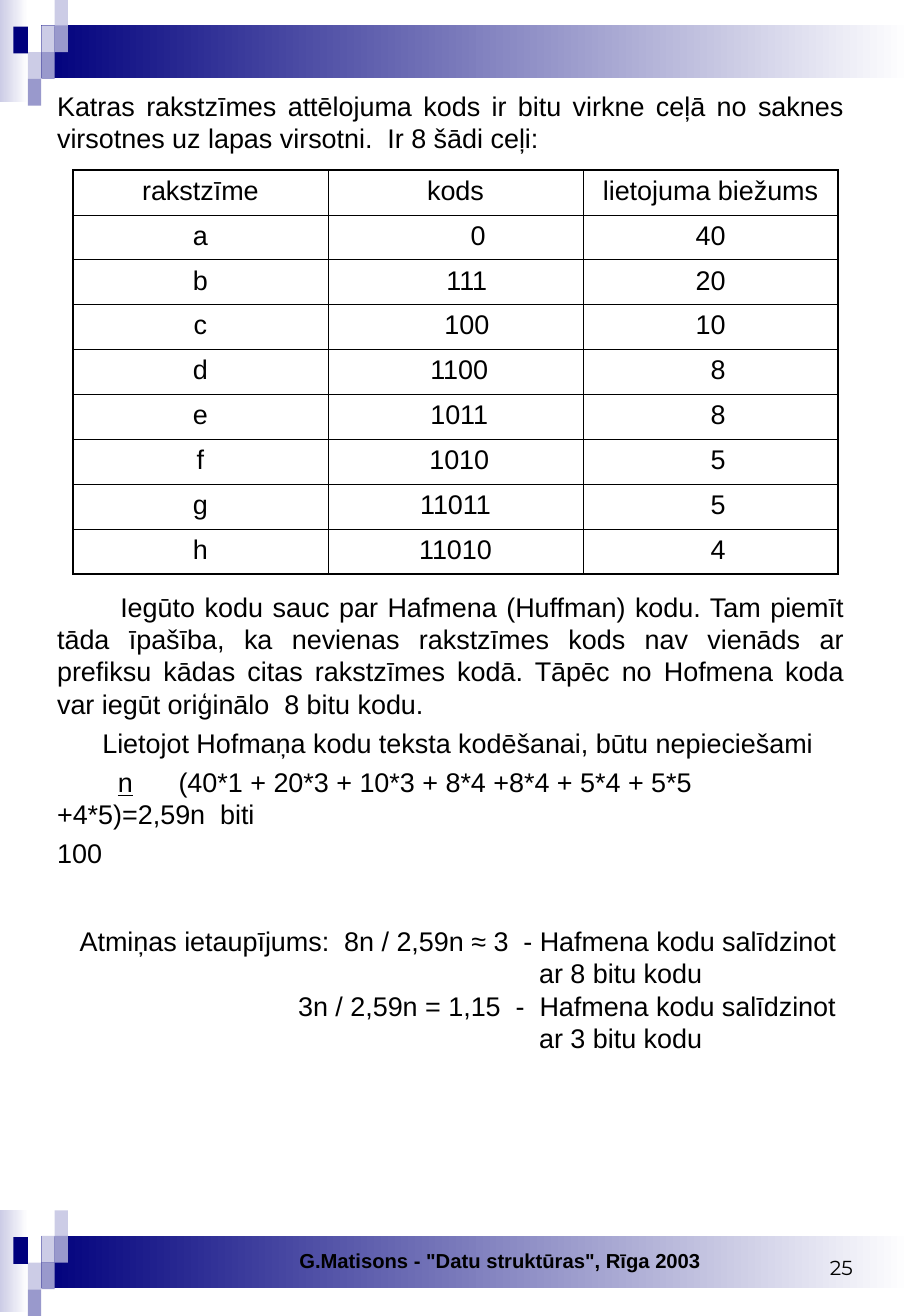
from lxml import etree
from pptx import Presentation
from pptx.dml.color import RGBColor
from pptx.enum.shapes import MSO_SHAPE
from pptx.enum.text import MSO_ANCHOR, MSO_AUTO_SIZE, PP_ALIGN
from pptx.oxml.ns import qn
from pptx.util import Inches, Pt

RECT = MSO_SHAPE.RECTANGLE
LEFT, CENTER, RIGHT, JUSTIFY = PP_ALIGN.LEFT, PP_ALIGN.CENTER, PP_ALIGN.RIGHT, PP_ALIGN.JUSTIFY
BOTTOM, TOP = MSO_ANCHOR.BOTTOM, MSO_ANCHOR.TOP
NAVY, LILAC, PALE, WHITE, BLACK = "00007D", "9999CC", "CCCCE6", "FFFFFF", "000000"
SPACE = 0.062  # width of one space at 16 pt


def rgb(value):
    return RGBColor.from_string(value)


def add_text(p, text, size=16, font="Arial", bold=False, underline=False, align=LEFT):
    p.alignment = align
    r = p.add_run()
    r.text = text
    r.font.size, r.font.name = Pt(size), font
    r.font.bold, r.font.underline = bold, underline
    r.font.color.rgb = rgb(BLACK)


prs = Presentation()
prs.slide_width, prs.slide_height = Inches(7.5), Inches(10.84)
s = prs.slides.add_slide(prs.slide_layouts[1])
title = s.shapes.title.element
title.getparent().remove(title)

# Header and footer bands with their mosaic squares
band_parts = [
    (0, 0, 0.23, 0.84, PALE, True),
    (0.34, 0.21, 7.16, 0.43, NAVY, True),
    (0.34, 0.21, 0.11, 0.22, PALE, False),
    (0.45, 0, 0.11, 0.22, PALE, False),
    (0.45, 0.21, 0.11, 0.22, LILAC, False),
    (0.23, 0.43, 0.11, 0.22, PALE, False),
    (0.11, 0.22, 0.12, 0.22, NAVY, False),
    (0.34, 0.43, 0.11, 0.22, LILAC, False),
    (0.23, 0.65, 0.11, 0.22, LILAC, False),
]
for band_top in (9.97, 0):
    for x, y, w, h, color, fades in band_parts:
        sp = s.shapes.add_shape(RECT, Inches(x), Inches(band_top + y), Inches(w), Inches(h))
        sp.shadow.inherit = False
        sp.line.fill.background()
        if fades:
            sp.fill.gradient()
            sp.fill.gradient_angle = 180
            for stop, shade in zip(sp.fill.gradient_stops, (WHITE, color)):
                stop.color.rgb = rgb(shade)
        else:
            sp.fill.solid()
            sp.fill.fore_color.rgb = rgb(color)

# Body: runs, alignment, space before (pt), left margin, first-line indent, tab stops
body = s.placeholders[1]
body.left, body.top, body.width, body.height = Inches(0.37), Inches(0.69), Inches(6.68), Inches(8.99)
tf = body.text_frame
tf.word_wrap, tf.auto_size, tf.vertical_anchor = True, MSO_AUTO_SIZE.NONE, TOP
body_paragraphs = [
    (["Katras rakstzīmes attēlojuma kods ir bitu virkne ceļā no saknes virsotnes uz lapas "
      "virsotni.  Ir 8 šādi ceļi:"], JUSTIFY, 0, 0, 0, []),
    (["Iegūto kodu sauc par Hafmena (Huffman) kodu. Tam piemīt tāda īpašība, ka nevienas "
      "rakstzīmes kods nav vienāds ar prefiksu kādas citas rakstzīmes kodā. Tāpēc no Hofmena "
      "koda var iegūt oriģinālo  8 bitu kodu."], JUSTIFY, 258.7, 0, 0.52, []),
    (["Lietojot Hofmaņa kodu teksta kodēšanai, būtu nepieciešami"], LEFT, 4, 0, 6 * SPACE, []),
    (["\tn\t", "(40*1 + 20*3 + 10*3 + 8*4 +8*4 + 5*4 + 5*5 +4*5)=2,59n  biti"],
     LEFT, 4, 0, 0, [0.12, 0.43]),
    (["100"], LEFT, 4, 0, 0, []),
    (["Atmiņas ietaupījums:  8n / 2,59n ≈ 3  - Hafmena kodu salīdzinot"],
     LEFT, 33.15, 3 * SPACE, 0, []),
    (["ar 8 bitu kodu"], LEFT, 0, 64 * SPACE, 0, []),
    (["3n / 2,59n = 1,15  -  Hafmena kodu salīdzinot"], LEFT, 0, 32 * SPACE, 0, []),
    (["ar 3 bitu kodu"], LEFT, 0, 64 * SPACE, 0, []),
]
for i, (texts, align, before, margin, indent, tabs) in enumerate(body_paragraphs):
    p = tf.paragraphs[0] if i == 0 else tf.add_paragraph()
    p.space_before, p.line_spacing = Pt(before), Pt(19.15)
    pPr = p._p.get_or_add_pPr()
    pPr.set("marL", str(Inches(margin)))
    pPr.set("indent", str(Inches(indent)))
    etree.SubElement(pPr, qn("a:buNone"))
    if tabs:
        tab_list = etree.SubElement(pPr, qn("a:tabLst"))
        for pos in tabs:
            etree.SubElement(tab_list, qn("a:tab"), pos=str(Inches(pos)), algn="l")
    for text in texts:
        add_text(p, text, underline="\t" in text, align=align)

# Code table; each cell's text is shifted by a number of spaces
code_rows = [
    [("rakstzīme", 0), ("kods", 0), ("lietojuma biežums", 0)],
    [("a", 0), ("0", 6), ("40", 0)],
    [("b", 0), ("111", 3), ("20", 0)],
    [("c", 0), ("100", 3), ("10", 0)],
    [("d", 0), ("1100", 1), ("8", 2)],
    [("e", 0), ("1011", 1), ("8", 2)],
    [("f", 0), ("1010", 1), ("5", 2)],
    [("g", 0), ("11011", 0), ("5", 2)],
    [("h", 0), ("11010", 0), ("4", 2)],
]
n_rows, n_cols = len(code_rows), len(code_rows[0])
table = s.shapes.add_table(n_rows, n_cols, Inches(0.6), Inches(1.4), Inches(6.3), Inches(3.33)).table
table.first_row = table.horz_banding = False
for row in table.rows:
    row.height = Inches(0.37)
for i, code_row in enumerate(code_rows):
    for j, (text, shift) in enumerate(code_row):
        cell = table.cell(i, j)
        cell.fill.background()
        cell.margin_left = Inches(0.1 + shift * SPACE)
        add_text(cell.text_frame.paragraphs[0], text, align=CENTER)
        outer_sides = {"L": j == 0, "R": j == n_cols - 1, "T": i == 0, "B": i == n_rows - 1}
        tcPr = cell._tc.get_or_add_tcPr()
        for k, (side, outer) in enumerate(outer_sides.items()):
            ln = etree.Element(qn("a:ln" + side), w=str(Pt(1.08 if outer else 0.45)))
            fill = etree.SubElement(ln, qn("a:solidFill"))
            etree.SubElement(fill, qn("a:srgbClr"), val=BLACK)
            tcPr.insert(k, ln)

# Footer and page number
for x, w, h, text, font, bold in [
    (0.91, 4.96, 0.31, 'G.Matisons - "Datu struktūras", Rīga 2003', "Arial", True),
    (5.95, 1.17, 0.37, "25", "Montserrat", False),
]:
    tf = s.shapes.add_textbox(Inches(x), Inches(10.22), Inches(w), Inches(h)).text_frame
    tf.word_wrap, tf.vertical_anchor = True, BOTTOM
    add_text(tf.paragraphs[0], text, size=12, font=font, bold=bold, align=RIGHT)

prs.save("out.pptx")
